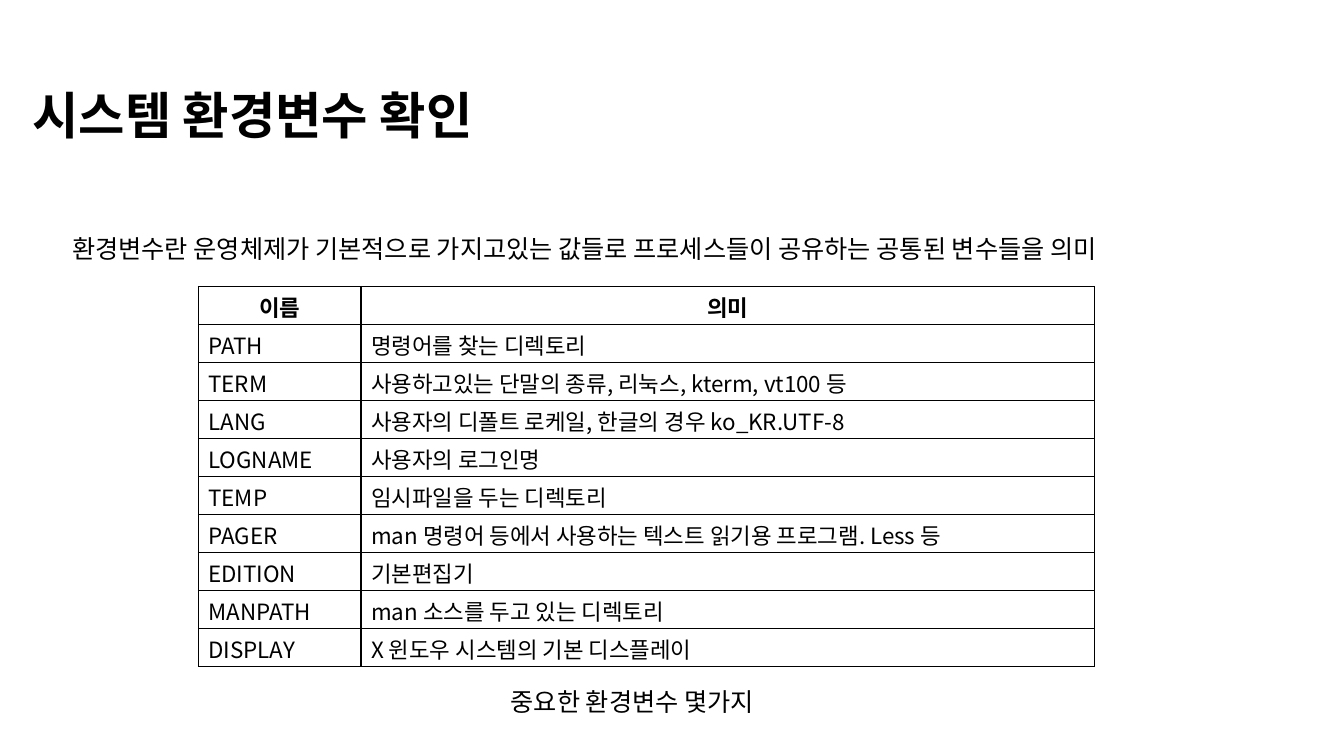
from lxml import etree
from pptx import Presentation
from pptx.dml.color import RGBColor
from pptx.enum.text import MSO_ANCHOR, MSO_AUTO_SIZE, PP_ALIGN
from pptx.oxml.ns import qn
from pptx.util import Cm, Pt

LEFT, CENTER = PP_ALIGN.LEFT, PP_ALIGN.CENTER
TOP, MIDDLE = MSO_ANCHOR.TOP, MSO_ANCHOR.MIDDLE
GROW, FIXED = MSO_AUTO_SIZE.SHAPE_TO_FIT_TEXT, MSO_AUTO_SIZE.NONE
FONT = "Noto Sans CJK KR"
COLORS = {"text": "000000", "border": "000000"}


def write(tf, text, size, bold=False, align=LEFT, spacing=None):
    p = tf.paragraphs[0]
    p.alignment = align
    p.line_spacing = spacing
    r = p.add_run()
    r.text = text
    r.font.name = FONT
    r.font.size = Pt(size)
    r.font.bold = bold
    r.font.color.rgb = RGBColor.from_string(COLORS["text"])
    etree.SubElement(r.font._element, qn("a:ea"), typeface=FONT)


def add_border(cell):
    tc_pr = cell._tc.get_or_add_tcPr()
    for i, side in enumerate(("lnL", "lnR", "lnT", "lnB")):
        ln = etree.Element(qn(f"a:{side}"), w=str(Pt(1)))
        fill = etree.SubElement(ln, qn("a:solidFill"))
        etree.SubElement(fill, qn("a:srgbClr"), val=COLORS["border"])
        tc_pr.insert(i, ln)


prs = Presentation()
prs.slide_width, prs.slide_height = Cm(33.87), Cm(19.05)
s = prs.slides.add_slide(prs.slide_layouts[5])

title = s.shapes.title
title.left, title.top, title.width, title.height = Cm(0.56), Cm(1.14), Cm(29.21), Cm(3.68)
tf = title.text_frame
tf.vertical_anchor = MIDDLE
tf.auto_size = FIXED
write(tf, "시스템 환경변수 확인", 36, bold=True, spacing=0.9)

notes = [
    (1.57, 5.38, 29.41, "환경변수란 운영체제가 기본적으로 가지고있는 값들로 프로세스들이 공유하는 공통된 변수들을 의미"),
    (12.62, 16.79, 7.34, "중요한 환경변수 몇가지"),
]
for left, top, width, text in notes:
    tf = s.shapes.add_textbox(Cm(left), Cm(top), Cm(width), Cm(1.27)).text_frame
    tf.word_wrap = True
    tf.auto_size = GROW
    write(tf, text, 18, spacing=1.5)

variables = [
    ("이름", "의미"),
    ("PATH", "명령어를 찾는 디렉토리"),
    ("TERM", "사용하고있는 단말의 종류, 리눅스, kterm, vt100 등"),
    ("LANG", "사용자의 디폴트 로케일, 한글의 경우 ko_KR.UTF-8"),
    ("LOGNAME", "사용자의 로그인명"),
    ("TEMP", "임시파일을 두는 디렉토리"),
    ("PAGER", "man 명령어 등에서 사용하는 텍스트 읽기용 프로그램. Less 등"),
    ("EDITION", "기본편집기"),
    ("MANPATH", "man 소스를 두고 있는 디렉토리"),
    ("DISPLAY", "X 윈도우 시스템의 기본 디스플레이"),
]
col_widths = [4.1, 18.48]
row_height = 0.958
table = s.shapes.add_table(
    len(variables), len(col_widths), Cm(5), Cm(7.22),
    Cm(sum(col_widths)), Cm(row_height * len(variables)),
).table
table.horz_banding = False
for col, width in zip(table.columns, col_widths):
    col.width = Cm(width)
for i, row in enumerate(variables):
    table.rows[i].height = Cm(row_height)
    header = i == 0
    for j, text in enumerate(row):
        cell = table.cell(i, j)
        cell.vertical_anchor = TOP
        cell.margin_top, cell.margin_bottom = Cm(0.1), Cm(0)
        cell.fill.background()
        add_border(cell)
        write(cell.text_frame, text, 16, bold=header, align=CENTER if header else LEFT)

prs.save("out.pptx")
